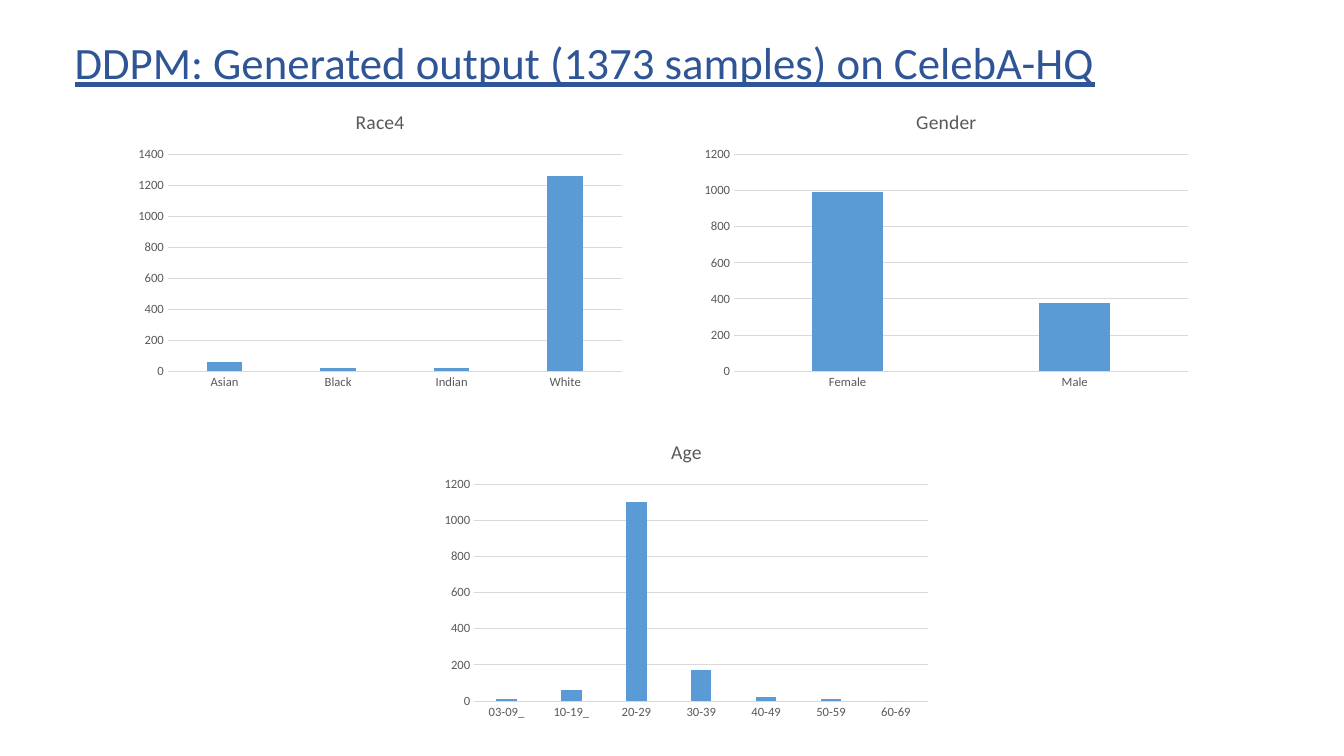
from pptx import Presentation
from pptx.chart.data import CategoryChartData
from pptx.dml.color import RGBColor
from pptx.enum.chart import XL_CHART_TYPE, XL_TICK_MARK
from pptx.enum.text import MSO_AUTO_SIZE
from pptx.util import Cm, Pt


def color(code):
    return RGBColor.from_string(code)


def style(font, size, code):
    font.name = "Calibri"
    font.size = Pt(size)
    font.bold = False
    font.color.rgb = color(code)


deck = Presentation()
deck.slide_width = Cm(33.87)
deck.slide_height = Cm(19.05)
slide = deck.slides.add_slide(deck.slide_layouts[6])

box = slide.shapes.add_textbox(Cm(1.63), Cm(0.76), Cm(28.58), Cm(1.62))
frame = box.text_frame
frame.word_wrap = True
frame.auto_size = MSO_AUTO_SIZE.SHAPE_TO_FIT_TEXT
run = frame.paragraphs[0].add_run()
run.text = "DDPM: Generated output (1373 samples) on CelebA-HQ"
style(run.font, 32, "2F5597")
run.font.underline = True

ages = ["03-09_", "10-19_", "20-29", "30-39", "40-49", "50-59", "60-69"]
charts = [
    ("Race4", 3.23, 2.36, ["Asian", "Black", "Indian", "White"],
     [60, 20, 20, 1260], 1400),
    ("Gender", 17.5, 2.36, ["Female", "Male"], [990, 380], 1200),
    ("Age", 10.95, 10.67, ages, [10, 60, 1100, 170, 20, 10, 0], 1200),
]

for name, left, top, groups, counts, limit in charts:
    data = CategoryChartData()
    data.categories = groups
    data.add_series(name, counts)
    chart = slide.shapes.add_chart(
        XL_CHART_TYPE.COLUMN_CLUSTERED,
        Cm(left), Cm(top), Cm(12.7), Cm(7.62), data).chart
    style(chart.font, 10, "000000")
    chart.has_legend = False
    chart.has_title = True
    label = chart.chart_title.text_frame.paragraphs[0].add_run()
    label.text = name
    style(label.font, 14, "595959")
    chart.chart_title.include_in_layout = False

    plot = chart.plots[0]
    plot.gap_width = 219
    plot.overlap = -27
    plot.vary_by_categories = False
    bars = plot.series[0].format.fill
    bars.solid()
    bars.fore_color.rgb = color("5B9BD5")

    for axis in (chart.category_axis, chart.value_axis):
        axis.major_tick_mark = XL_TICK_MARK.NONE
        axis.minor_tick_mark = XL_TICK_MARK.NONE
        style(axis.tick_labels.font, 9, "595959")

    scale = chart.value_axis
    scale.minimum_scale = 0
    scale.maximum_scale = limit
    scale.major_unit = 200
    scale.has_major_gridlines = True
    scale.format.line.fill.background()
    for line in (chart.category_axis.format.line,
                 scale.major_gridlines.format.line):
        line.color.rgb = color("D9D9D9")
        line.width = Pt(0.75)

deck.save("out.pptx")
